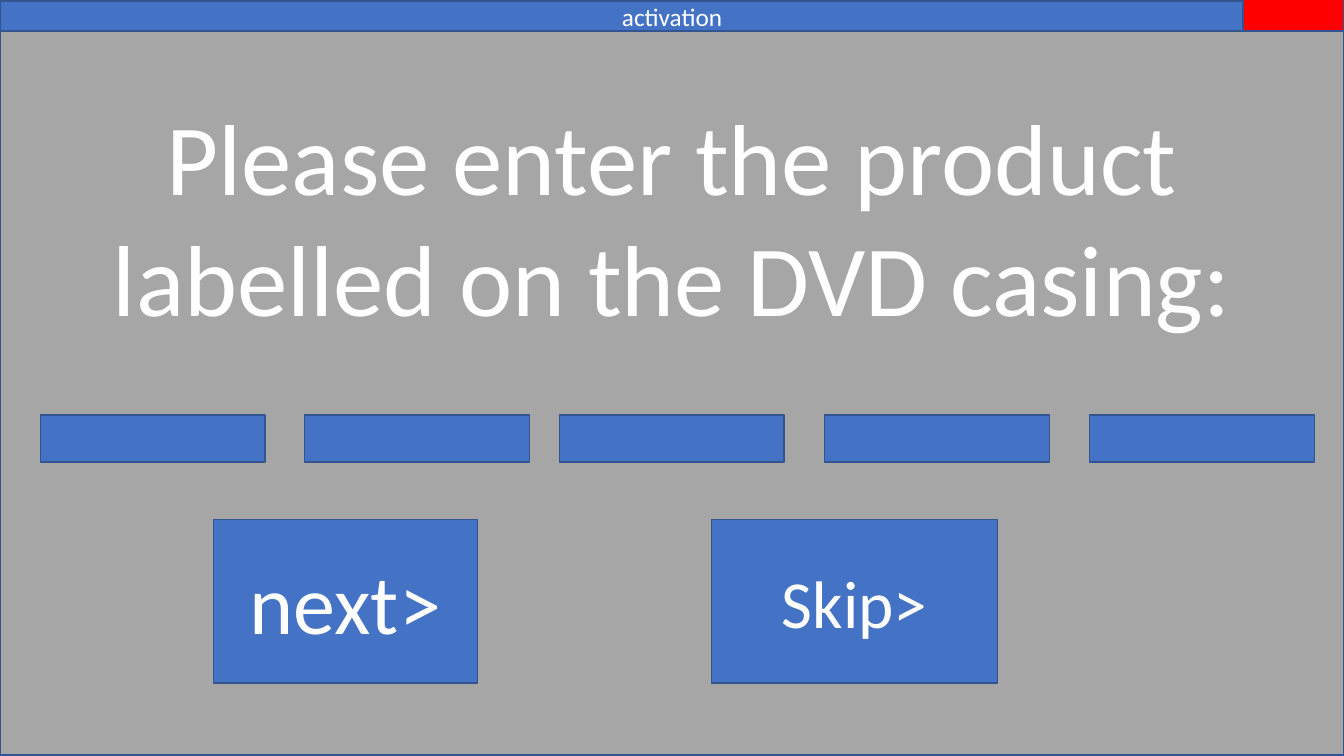
from dataclasses import dataclass

from pptx import Presentation
from pptx.dml.color import RGBColor
from pptx.enum.shapes import MSO_SHAPE
from pptx.enum.text import MSO_ANCHOR, PP_ALIGN
from pptx.shapes.autoshape import Shape
from pptx.slide import Slide
from pptx.util import Pt

BLUE, EDGE, GREY, RED, WHITE = "4472C4", "325491", "A6A6A6", "FF0000", "FFFFFF"


@dataclass
class Box:
    left: float
    top: float
    width: float
    height: float
    fill: str = BLUE
    text: str = ""
    size: float = 18
    inset: float | None = None  # gap above text that starts at the top


def color(code: str) -> RGBColor:
    return RGBColor.from_string(code)


def write(shape: Shape, text: str, *, size: float, inset: float | None = None) -> None:
    frame = shape.text_frame
    frame.word_wrap = True
    frame.vertical_anchor = MSO_ANCHOR.MIDDLE
    if inset is not None:
        frame.vertical_anchor = MSO_ANCHOR.TOP
        frame.margin_top = Pt(inset)
    para = frame.paragraphs[0]
    para.alignment = PP_ALIGN.CENTER
    run = para.add_run()
    run.text = text
    run.font.name = "Calibri"
    run.font.size = Pt(size)
    run.font.color.rgb = color(WHITE)


def draw(slide: Slide, box: Box) -> None:
    shape = slide.shapes.add_shape(
        MSO_SHAPE.RECTANGLE, Pt(box.left), Pt(box.top), Pt(box.width), Pt(box.height)
    )
    shape.shadow.inherit = False
    shape.fill.solid()
    shape.fill.fore_color.rgb = color(box.fill)
    shape.line.color.rgb = color(EDGE)
    shape.line.width = Pt(1)
    if box.text:
        write(shape, box.text, size=box.size, inset=box.inset)


def main() -> None:
    deck = Presentation()
    deck.slide_width, deck.slide_height = Pt(960), Pt(540)
    slide = deck.slides.add_slide(deck.slide_layouts[6])

    # Window: title bar, body and close button
    prompt = "Please enter the product labelled on the DVD casing:"
    window = [
        Box(0, 0.7, 960, 21.6, text="activation"),
        Box(0, 22.3, 960, 517, GREY, prompt, 72, inset=45.5),
        Box(888, -2.2, 72, 24, RED),
    ]

    # Product key fields
    fields = [Box(left, 296.6, 160.6, 33.4) for left in (28.8, 217.5, 399.5, 589, 778.3)]

    # Buttons
    buttons = [
        Box(152.5, 371, 188.5, 117, text="next>", size=60),
        Box(508.2, 371, 204.5, 117, text="Skip>", size=48),
    ]

    for box in window + fields + buttons:
        draw(slide, box)
    deck.save("out.pptx")


if __name__ == "__main__":
    main()
